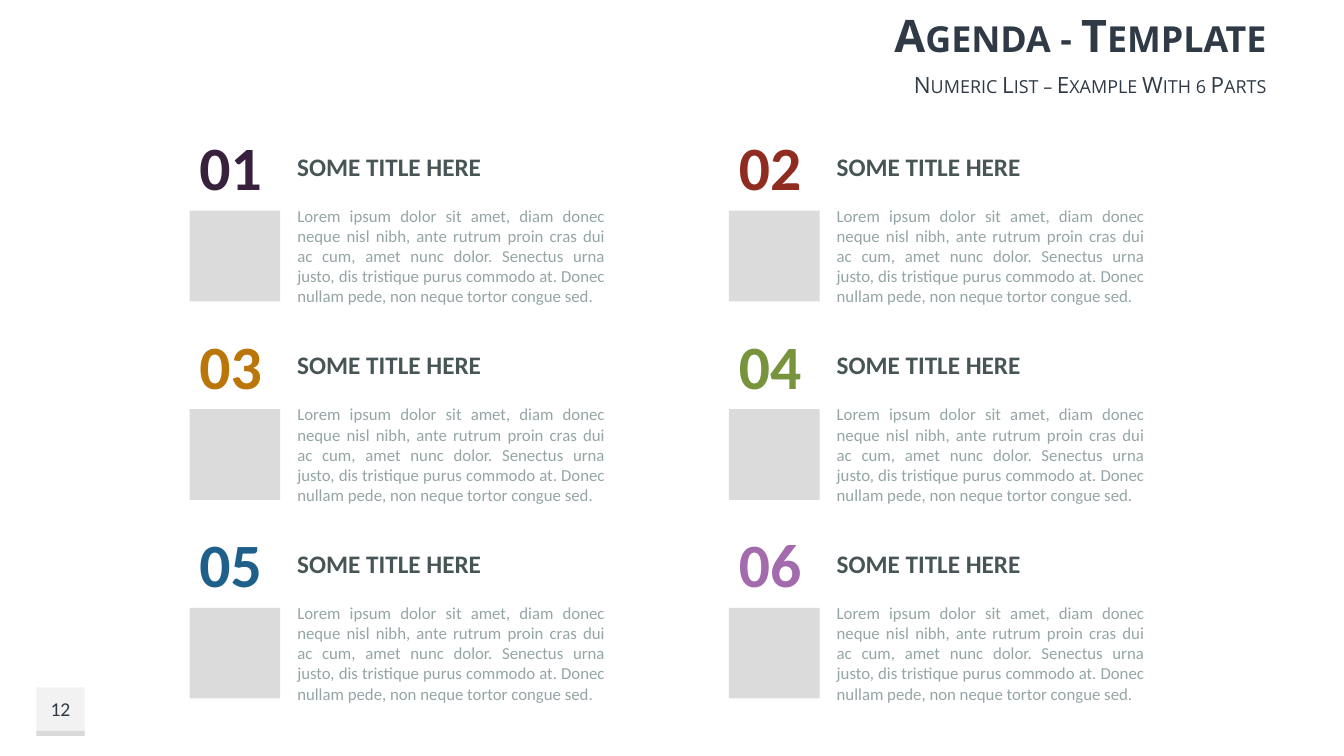
from pptx import Presentation
from pptx.dml.color import RGBColor
from pptx.enum.shapes import MSO_SHAPE
from pptx.enum.text import MSO_ANCHOR, MSO_AUTO_SIZE, PP_ALIGN
from pptx.util import Inches, Pt

RECT = MSO_SHAPE.RECTANGLE
TOP, MIDDLE = MSO_ANCHOR.TOP, MSO_ANCHOR.MIDDLE
LEFT, RIGHT = PP_ALIGN.LEFT, PP_ALIGN.RIGHT
CENTER, JUSTIFY = PP_ALIGN.CENTER, PP_ALIGN.JUSTIFY
GROW = MSO_AUTO_SIZE.SHAPE_TO_FIT_TEXT

NAVY = RGBColor(0x2F, 0x3A, 0x46)
SLATE = RGBColor(0x48, 0x55, 0x56)
GRAY = RGBColor(0x95, 0xA5, 0xA6)
TILE = RGBColor(0xDB, 0xDB, 0xDB)
PALE = RGBColor(0xF2, 0xF2, 0xF2)
EDGE = RGBColor(0xD9, 0xD9, 0xD9)
PLUM = RGBColor(0x38, 0x21, 0x3C)
RED = RGBColor(0x90, 0x2B, 0x20)
AMBER = RGBColor(0xBA, 0x76, 0x09)
GREEN = RGBColor(0x77, 0x93, 0x3C)
BLUE = RGBColor(0x1F, 0x60, 0x8B)
MAUVE = RGBColor(0xA3, 0x6A, 0xAD)

TITLE = "Agenda - Template"
SUBTITLE = "Numeric List – Example With 6 Parts"
PAGE = "12"
LOREM = ("Lorem ipsum dolor sit amet, diam donec neque nisl nibh, ante rutrum "
         "proin cras dui ac cum, amet nunc dolor. Senectus urna justo, dis "
         "tristique purus commodo at. Donec nullam pede, non neque tortor "
         "congue sed.")
PARTS = [
    ("01", PLUM, "SOME TITLE HERE", LOREM),
    ("02", RED, "SOME TITLE HERE", LOREM),
    ("03", AMBER, "SOME TITLE HERE", LOREM),
    ("04", GREEN, "SOME TITLE HERE", LOREM),
    ("05", BLUE, "SOME TITLE HERE", LOREM),
    ("06", MAUVE, "SOME TITLE HERE", LOREM),
]
COLS = 2
GRID_X, GRID_Y = 1.88, 1.23
STEP_X, STEP_Y = 5.35, 1.97


def add_rect(shapes, x, y, w, h, color):
    rect = shapes.add_shape(RECT, Inches(x), Inches(y), Inches(w), Inches(h))
    rect.shadow.inherit = False
    rect.fill.solid()
    rect.fill.fore_color.rgb = color
    rect.line.fill.background()


def add_text(shapes, x, y, w, h, text, size, color, bold=False,
             align=LEFT, anchor=TOP, font="Calibri", wrap=True):
    box = shapes.add_textbox(Inches(x), Inches(y), Inches(w), Inches(h))
    frame = box.text_frame
    frame.text = text
    frame.word_wrap = wrap
    frame.vertical_anchor = anchor
    para = frame.paragraphs[0]
    para.alignment = align
    run = para.runs[0]
    run.font.name = font
    run.font.size = Pt(size)
    run.font.bold = bold
    run.font.color.rgb = color
    return frame


def add_head(shapes, y, h, text, size, bold):
    """Add a right-aligned heading line in small capitals."""
    frame = add_text(shapes, 4.25, y, 8.41, h, text, size, NAVY, bold,
                     RIGHT, MIDDLE, "Open Sans")
    frame.margin_top = frame.margin_bottom = 0
    frame.paragraphs[0].runs[0].font._element.set("cap", "small")


def add_part(slide, x, y, number, color, title, body):
    shapes = slide.shapes.add_group_shape().shapes
    frames = [
        add_text(shapes, x, y, 0.83, 0.84, number, 44, color, True, wrap=False),
        add_text(shapes, x + 0.97, y + 0.22, 2.04, 0.4, title, 18, SLATE, True,
                 wrap=False),
        add_text(shapes, x + 0.97, y + 0.76, 3.25, 1.11, body, 12, GRAY,
                 align=JUSTIFY),
    ]
    for frame in frames:
        frame.auto_size = GROW
    add_rect(shapes, x, y + 0.86, 0.9, 0.9, TILE)


def main():
    deck = Presentation()
    deck.slide_width, deck.slide_height = Inches(13.33), Inches(7.5)
    slide = deck.slides.add_slide(deck.slide_layouts[6])

    badge = slide.shapes.add_group_shape().shapes
    add_rect(badge, 0.36, 6.82, 0.48, 0.48, PALE)
    add_rect(badge, 0.36, 7.25, 0.48, 0.05, EDGE)

    add_head(slide.shapes, 0, 0.68, TITLE, 32, True)
    page = add_text(slide.shapes, 0.36, 6.82, 0.48, 0.43, PAGE, 14, NAVY,
                    align=CENTER, anchor=MIDDLE)
    page.margin_left = page.margin_right = 0
    add_head(slide.shapes, 0.68, 0.31, SUBTITLE, 16, False)

    for i, part in enumerate(PARTS):
        row, col = divmod(i, COLS)
        add_part(slide, GRID_X + col * STEP_X, GRID_Y + row * STEP_Y, *part)

    deck.save("out.pptx")


if __name__ == "__main__":
    main()
